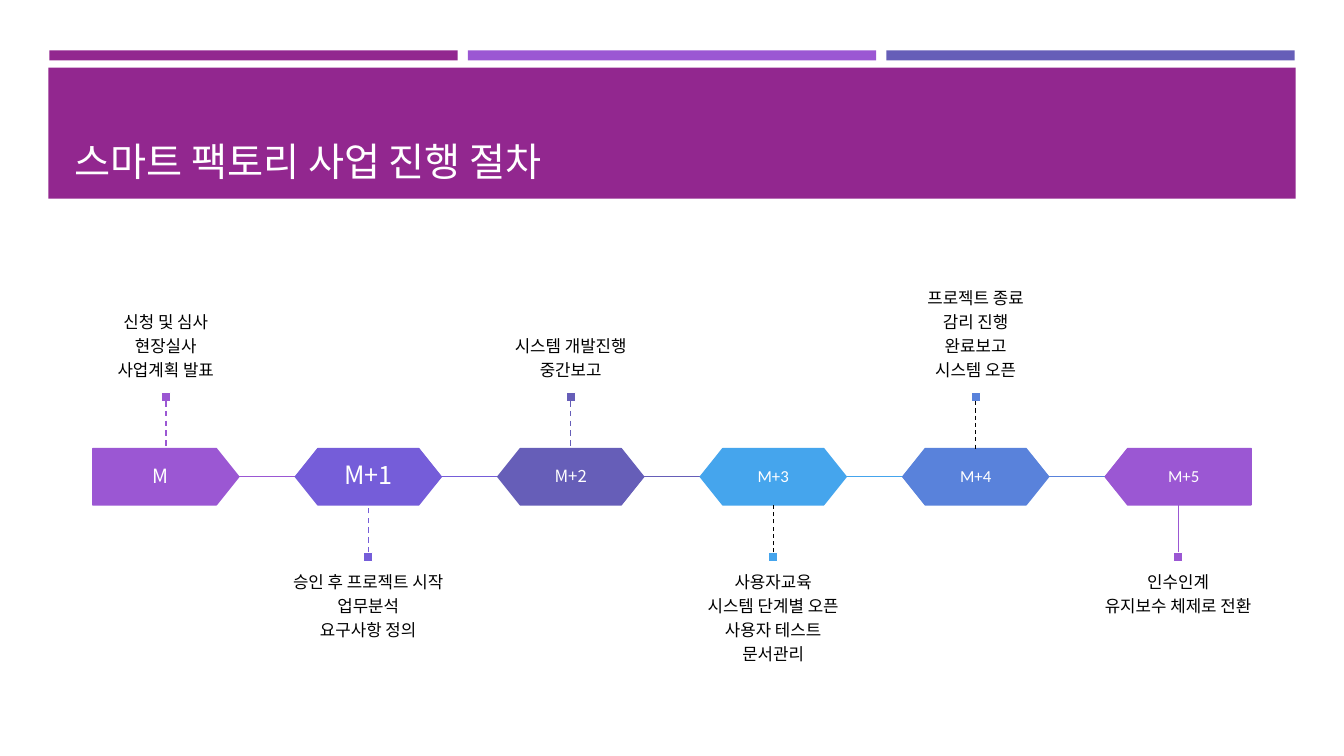
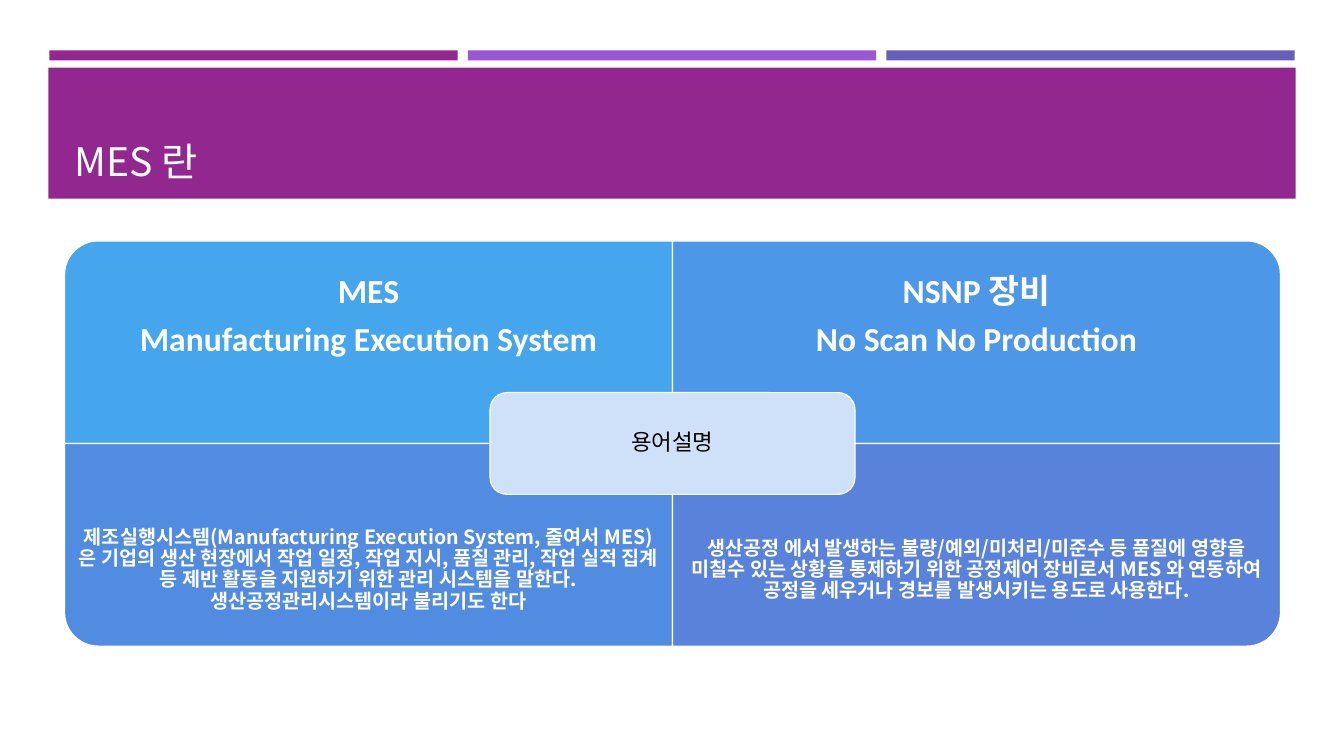
import pptx
import pptx.util
import pptx.dml.color
import pptx.enum.dml
import pptx.enum.shapes
import pptx.enum.text
import pptx.oxml.ns
from lxml import etree

Inches = pptx.util.Inches
Pt = pptx.util.Pt
SHAPE = pptx.enum.shapes.MSO_SHAPE
ALIGN = pptx.enum.text.PP_ALIGN
ANCHOR = pptx.enum.text.MSO_ANCHOR
qn = pptx.oxml.ns.qn

COLORS = {
    "plum": "92278F", "orchid": "9B57D3", "violet": "755DD9", "indigo": "665EB8",
    "sky": "45A5ED", "azure": "4C97E7", "blue": "528CE1", "periwinkle": "5982DB",
    "pale": "CFE1F8", "white": "FFFFFF", "black": "000000",
}
KOREAN = "Noto Sans CJK KR"
LATIN = "Calibri"
LINE_SPACING = 0.9
OUTLINE = 0.85

PROCESS_TITLE = "스마트 팩토리 사업 진행 절차"
MILESTONES = [
    {"label": "M", "size": 14, "font": KOREAN, "color": "orchid",
     "stem": ("orchid", 1, True), "tasks": ["신청 및 심사", "현장실사", "사업계획 발표"]},
    {"label": "M+1", "size": 18, "font": KOREAN, "color": "violet",
     "stem": ("violet", 1, True), "tasks": ["승인 후 프로젝트 시작", "업무분석", "요구사항 정의"]},
    {"label": "M+2", "size": 12, "font": KOREAN, "color": "indigo",
     "stem": ("indigo", 1, True), "tasks": ["시스템 개발진행", "중간보고"]},
    {"label": "M+3", "size": 12, "font": LATIN, "color": "sky",
     "stem": ("black", 0.75, True),
     "tasks": ["사용자교육", "시스템 단계별 오픈", "사용자 테스트", "문서관리"]},
    {"label": "M+4", "size": 12, "font": LATIN, "color": "periwinkle",
     "stem": ("black", 0.75, True),
     "tasks": ["프로젝트 종료", "감리 진행", "완료보고", "시스템 오픈"]},
    {"label": "M+5", "size": 12, "font": LATIN, "color": "orchid",
     "stem": ("orchid", 0.75, False), "tasks": ["인수인계", "유지보수 체제로 전환"]},
]

TERMS_TITLE = "MES 란"
TERMS_CENTER = "용어설명"
# Each term: heading lines, heading fill, definition, definition fill, side inset
TERMS = [
    (["MES", "Manufacturing Execution System"], "sky",
     "제조실행시스템(Manufacturing Execution System, 줄여서 MES)은 기업의 생산 현장에서 "
     "작업 일정, 작업 지시, 품질 관리, 작업 실적 집계 등 제반 활동을 지원하기 위한 관리 "
     "시스템을 말한다. 생산공정관리시스템이라 불리기도 한다", "blue", 0.11),
    (["NSNP 장비", "No Scan No Production"], "azure",
     "생산공정 에서 발생하는 불량/예외/미처리/미준수 등 품질에 영향을 미칠수 있는 상황을 "
     "통제하기 위한 공정제어 장비로서 MES 와 연동하여 공정을 세우거나 경보를 발생시키는 "
     "용도로 사용한다.", "periwinkle", 0.16),
]
# Rotation that turns the rounded corner outwards, by (row, column)
CORNER_TURN = {(0, 0): 270, (0, 1): 0, (1, 0): 180, (1, 1): 90}


def rgb(name):
    return pptx.dml.color.RGBColor.from_string(COLORS[name])


def write(shape, lines, size, font=KOREAN, color="white", bold=False,
          align=ALIGN.CENTER, anchor=ANCHOR.MIDDLE, inset=(0.1, 0.1)):
    """Fill a shape or text box with paragraphs; inset is (sides, top and bottom)."""
    frame = shape.text_frame
    frame.word_wrap = True
    frame.vertical_anchor = anchor
    frame.margin_left = frame.margin_right = Inches(inset[0])
    frame.margin_top = frame.margin_bottom = Inches(inset[1])
    for index, line in enumerate(lines):
        paragraph = frame.add_paragraph() if index else frame.paragraphs[0]
        paragraph.text = line
        paragraph.alignment = align
        paragraph.line_spacing = LINE_SPACING
        paragraph.space_after = Pt(size * 0.35)
        paragraph.font.size = Pt(size)
        paragraph.font.bold = bold
        paragraph.font.name = font
        paragraph.font.color.rgb = rgb(color)
        defaults = paragraph._p.find(".//" + qn("a:defRPr"))
        etree.SubElement(defaults, qn("a:ea")).set("typeface", KOREAN)


def add_text(slide, left, top, width, height, lines, size, **style):
    box = slide.shapes.add_textbox(Inches(left), Inches(top), Inches(width), Inches(height))
    write(box, lines, size, **style)


def add_block(slide, kind, left, top, width, height, fill, line=None):
    block = slide.shapes.add_shape(
        kind, Inches(left), Inches(top), Inches(width), Inches(height))
    block.shadow.inherit = False
    block.fill.solid()
    block.fill.fore_color.rgb = rgb(fill)
    if line:
        block.line.color.rgb = rgb(line)
        block.line.width = Pt(OUTLINE)
    else:
        block.line.fill.background()
    return block


def add_line(slide, start, end, color, weight, dashed=False):
    line = slide.shapes.add_connector(
        pptx.enum.shapes.MSO_CONNECTOR.STRAIGHT, *(Inches(v) for v in start + end))
    line.line.color.rgb = rgb(color)
    line.line.width = Pt(weight)
    if dashed:
        line.line.dash_style = pptx.enum.dml.MSO_LINE.DASH
    etree.SubElement(line._element.spPr, qn("a:effectLst"))
    return line


def add_titled_slide(deck, title):
    slide = deck.slides.add_slide(deck.slide_layouts[6])
    for index, color in enumerate(["plum", "orchid", "indigo"]):
        add_block(slide, SHAPE.RECTANGLE, 0.49 + 4.15 * index, 0.5, 4.05, 0.1, color)
    add_block(slide, SHAPE.RECTANGLE, 0.48, 0.67, 12.37, 1.3, "plum")
    add_text(slide, 0.64, 0.77, 12.06, 1.11, [title], 28,
             align=ALIGN.LEFT, anchor=ANCHOR.BOTTOM, inset=(0.1, 0.05))
    return slide


def add_process(deck):
    slide = add_titled_slide(deck, PROCESS_TITLE)
    left, top, width, height = 0.92, 4.45, 1.45, 0.56
    last = len(MILESTONES) - 1
    pitch = (10.96 - left) / last
    marker_size, stem_length, tasks_height = 0.09, 0.47, 1.5
    middle, bottom = top + height / 2, top + height

    for index, milestone in enumerate(MILESTONES):
        x = left + pitch * index
        center = x + width / 2
        color = milestone["color"]
        kind = SHAPE.PENTAGON if index in (0, last) else SHAPE.HEXAGON
        step = add_block(slide, kind, x, top, width, height, color, color)
        step.adjustments[0] = 0.4
        if index == last:
            step._element.spPr.find(qn("a:xfrm")).set("flipH", "1")
        else:
            add_line(slide, (x + width, middle), (x + pitch, middle), color, OUTLINE)
        write(step, [milestone["label"]], milestone["size"],
              font=milestone["font"], inset=(0, 0))

        above = index % 2 == 0 and index != last
        if above:
            stem_end, marker_top = top, top - stem_length - marker_size
            tasks_top, anchor, side = marker_top - tasks_height, ANCHOR.BOTTOM, 2
        else:
            stem_end, marker_top = bottom, bottom + stem_length
            tasks_top, anchor, side = marker_top + marker_size, ANCHOR.TOP, 0
        marker = add_block(slide, SHAPE.RECTANGLE, center - marker_size / 2, marker_top,
                           marker_size, marker_size, color, "white")
        stem = add_line(slide, (center, marker_top), (center, stem_end), *milestone["stem"])
        stem.begin_connect(marker, side)
        add_text(slide, center - pitch / 2, tasks_top, pitch, tasks_height,
                 milestone["tasks"], 12, color="black", anchor=anchor, inset=(0, 0.12))


def add_quadrant(slide, row, column, left, top, width, height, fill):
    """Place a one-corner rectangle, turned about its centre to fill the given area."""
    turn = CORNER_TURN[row, column]
    w, h = (height, width) if turn in (90, 270) else (width, height)
    quadrant = add_block(slide, SHAPE.ROUND_1_RECTANGLE, left + (width - w) / 2,
                         top + (height - h) / 2, w, h, fill, "white")
    quadrant.rotation = turn


def add_terms(deck):
    slide = add_titled_slide(deck, TERMS_TITLE)
    left, top, width, height, text_height = 0.64, 2.39, 6.03, 2.01, 1.51
    for column, (heading, heading_fill, definition, definition_fill, side) in enumerate(TERMS):
        x = left + width * column
        add_quadrant(slide, 0, column, x, top, width, height, heading_fill)
        add_quadrant(slide, 1, column, x, top + height, width, height, definition_fill)
        add_text(slide, x, top, width, text_height, heading, 24,
                 font=LATIN, bold=True, inset=(0.19, 0.19))
        add_text(slide, x, top + 2 * height - text_height, width, text_height,
                 [definition], 14, bold=True, inset=(side, 0.11))
    center_width, center_height = 3.62, 1.01
    center = add_block(slide, SHAPE.ROUNDED_RECTANGLE, left + width - center_width / 2,
                       top + height - center_height / 2, center_width, center_height,
                       "pale", "white")
    write(center, [TERMS_CENTER], 16, color="black")


def main():
    deck = pptx.Presentation()
    deck.slide_width, deck.slide_height = Inches(13.33), Inches(7.5)
    add_process(deck)
    add_terms(deck)
    deck.save("out.pptx")


if __name__ == "__main__":
    main()
